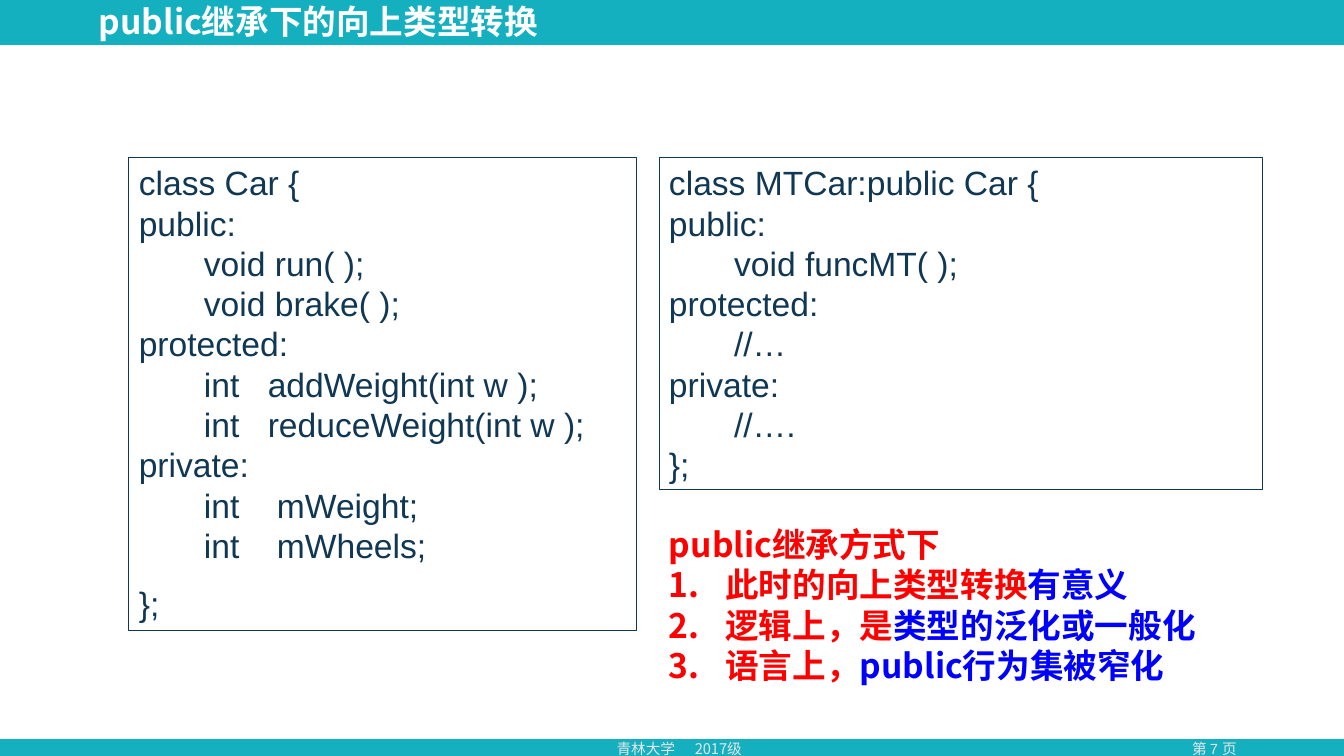
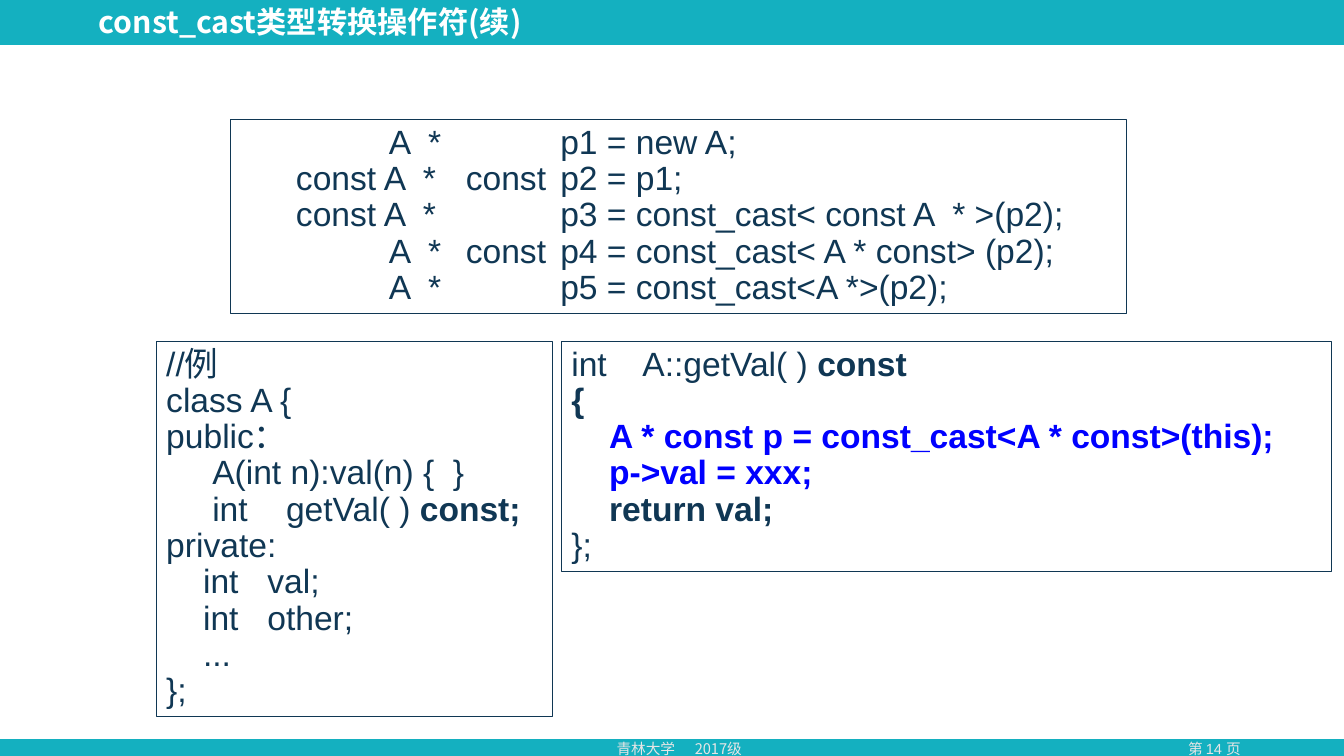
import pptx
import pptx.util
import pptx.dml.color
import pptx.enum.shapes
import pptx.enum.text
import pptx.oxml.ns
import lxml.etree

THEME = {
    "teal": "14B0C0", "white": "FFFFFF", "pale": "E7E6E6",
    "ink": "103754", "red": "FF0000", "blue": "0000FF",
    "sans": "Arial", "cjk": "Noto Sans CJK SC",
    "body": 24, "foot": 10.5, "edge": 0.75,
    "loose": 28.8, "tight": 25.9, "lead": 12.6,
}
WIDE, HIGH = 33.87, 19.05
BAND = (0, 1.14, WIDE, 17.48)
HEAD = (2.24, 0.1, 18.21, 0.99)
FOOT = (15.29, 18.52, 4.67, 0.71)
PAGE = (28.75, 18.52, 3.71, 0.71)
SCHOOL = "青林大学\t2017级"

BOLD = {"bold": True}
BLUE = {"bold": True, "color": "blue"}

# A line is a string or a list of (text, format) runs; tabs use the box's stops in cm.
SLIDES = [
    {
        "title": "public继承下的向上类型转换", "size": 24, "page": 7, "pitch": "loose",
        "code": [
            {"at": (3.25, 3.96, 12.8, 11.94), "stops": (1.64, 3.25, 3.48), "gaps": (10,),
             "lines": ["class Car {", "public:", "\tvoid run( );", "\tvoid brake( );",
                       "protected:", "\tint\taddWeight(int w );",
                       "\tint\treduceWeight(int w );", "private:",
                       "\tint\t\tmWeight;", "\tint\t\tmWheels;", "};"]},
            {"at": (16.61, 3.96, 15.21, 8.38), "stops": (1.64,),
             "lines": ["class MTCar:public Car {", "public:", "\tvoid funcMT( );",
                       "protected:", "\t//…", "private:", "\t//….", "};"]},
        ],
        "notes": {
            "at": (16.61, 13.08, 15.19, 4.39),
            "lead": "public继承方式下",
            "items": [("此时的向上类型转换", "有意义"),
                      ("逻辑上，是", "类型的泛化或一般化"),
                      ("语言上，", "public行为集被窄化")],
        },
    },
    {
        "title": "const_cast类型转换操作符(续)", "size": 21.6, "page": 14, "pitch": "tight",
        "code": [
            {"at": (5.82, 3.02, 22.56, 4.88), "stops": (1.39, 3.73, 5.67, 8.05),
             "lines": ["\t\tA  *\t\tp1 = new A;",
                       "\tconst A  *\tconst\tp2 = p1;",
                       "\tconst A  *\t\tp3 = const_cast< const A  * >(p2);",
                       "\t\tA  *\tconst\tp4 = const_cast< A * const> (p2);",
                       "\t\tA  *\t\tp5 = const_cast<A *>(p2);"]},
            {"at": (3.94, 8.61, 9.98, 9.45), "stops": (0.93, 1.16, 2.55, 3.02),
             "lines": ["//例", "class A {", "public：", "\t\tA(int n):val(n) {  }",
                       [("\t\tint\t\tgetVal( ) ", {}), ("const;", BOLD)],
                       "private:", "\tint\tval;", "\tint\tother;", "\t...", "};"]},
            {"at": (14.15, 8.61, 19.41, 5.79), "stops": (0.95, 1.79),
             "lines": [[("int\t\tA::getVal( ) ", {}), ("const", BOLD)],
                       [("{", BOLD)],
                       [("\tA * const p = const_cast<A * const>(this);", BLUE)],
                       [("\tp->val = xxx;", BLUE)],
                       [("\treturn val;", BOLD)], "};"]},
        ],
    },
]


def cm(at):
    """Turn numbers in cm into lengths."""
    return [pptx.util.Cm(n) for n in at]


def rgb(name):
    """Look up a theme colour."""
    return pptx.dml.color.RGBColor.from_string(THEME[name])


def tag(host, name, **attrs):
    """Append a drawing element to host."""
    return lxml.etree.SubElement(host, pptx.oxml.ns.qn(name), attrs)


def rect(slide, at, fill=None, edge=None):
    """Add a plain rectangle."""
    box = slide.shapes.add_shape(pptx.enum.shapes.MSO_SHAPE.RECTANGLE, *cm(at))
    box.shadow.inherit = False
    if fill:
        box.fill.solid()
        box.fill.fore_color.rgb = rgb(fill)
    else:
        box.fill.background()
    if edge:
        box.line.color.rgb = rgb(edge)
        box.line.width = pptx.util.Pt(THEME["edge"])
    else:
        box.line.fill.background()
    return box


def add_run(para, text, size, color="ink", bold=False, face="sans"):
    """Add one formatted run."""
    run = para.add_run()
    run.text = text
    run.font.size = pptx.util.Pt(size)
    run.font.bold = bold
    run.font.color.rgb = rgb(color)
    run.font.name = THEME[face]
    tag(run.font._element, "a:ea", typeface=THEME["cjk"])


def write(box, lines, size=THEME["body"], pitch=None, gaps=(), stops=(),
          center=False, middle=False, hang=0, first=0, **style):
    """Fill a box with lines; lines from index first on are numbered if hang is set."""
    frame = box.text_frame
    frame.word_wrap = True
    anchor = pptx.enum.text.MSO_ANCHOR
    frame.vertical_anchor = anchor.MIDDLE if middle else anchor.TOP
    align = pptx.enum.text.PP_ALIGN
    for i, line in enumerate(lines):
        para = frame.add_paragraph() if i else frame.paragraphs[0]
        para.alignment = align.CENTER if center else align.LEFT
        if pitch:
            para.line_spacing = pitch
        if i in gaps:
            para.space_before = pptx.util.Pt(THEME["lead"])
        props = para._p.get_or_add_pPr()
        if hang and i >= first:
            inch = pptx.util.Cm(hang)
            props.set("marL", str(inch))
            props.set("indent", str(-inch))
            tag(props, "a:buFont", typeface="+mj-lt")
            tag(props, "a:buAutoNum", type="arabicPeriod")
        if stops:
            tabs = tag(props, "a:tabLst")
            for stop in stops:
                tag(tabs, "a:tab", pos=str(pptx.util.Cm(stop)), algn="l")
        for text, extra in [(line, {})] if isinstance(line, str) else line:
            add_run(para, text, size, **{**style, **extra})


def label(slide, at, lines, **style):
    """Add a text box without outline."""
    write(slide.shapes.add_textbox(*cm(at)), lines, **style)


def frame(slide, data):
    """Draw the bands, title and footers shared by all slides."""
    rect(slide, (0, 0, WIDE, HIGH), fill="teal")
    rect(slide, BAND, fill="white")
    foot = {"size": THEME["foot"], "color": "pale"}
    label(slide, PAGE, [f"第 {data['page']} 页"], center=True, **foot)
    label(slide, FOOT, [SCHOOL], stops=(1.97,), face="cjk", **foot)
    label(slide, HEAD, [data["title"]], size=data["size"], pitch=0.9,
          middle=True, color="white", bold=True, face="cjk")


def build(deck, data):
    """Build one slide."""
    slide = deck.slides.add_slide(deck.slide_layouts[6])
    frame(slide, data)
    pitch = pptx.util.Pt(THEME[data["pitch"]])
    notes = data.get("notes")
    if notes:
        items = [[(head, {}), (tail, {"color": "blue"})] for head, tail in notes["items"]]
        label(slide, notes["at"], [notes["lead"]] + items, pitch=pitch, hang=1.42,
              first=1, color="red", bold=True, face="cjk")
    for part in data["code"]:
        write(rect(slide, part["at"], edge="ink"), part["lines"], pitch=pitch,
              stops=part["stops"], gaps=part.get("gaps", ()))


deck = pptx.Presentation()
deck.slide_width, deck.slide_height = cm((WIDE, HIGH))
for data in SLIDES:
    build(deck, data)
deck.save("out.pptx")
